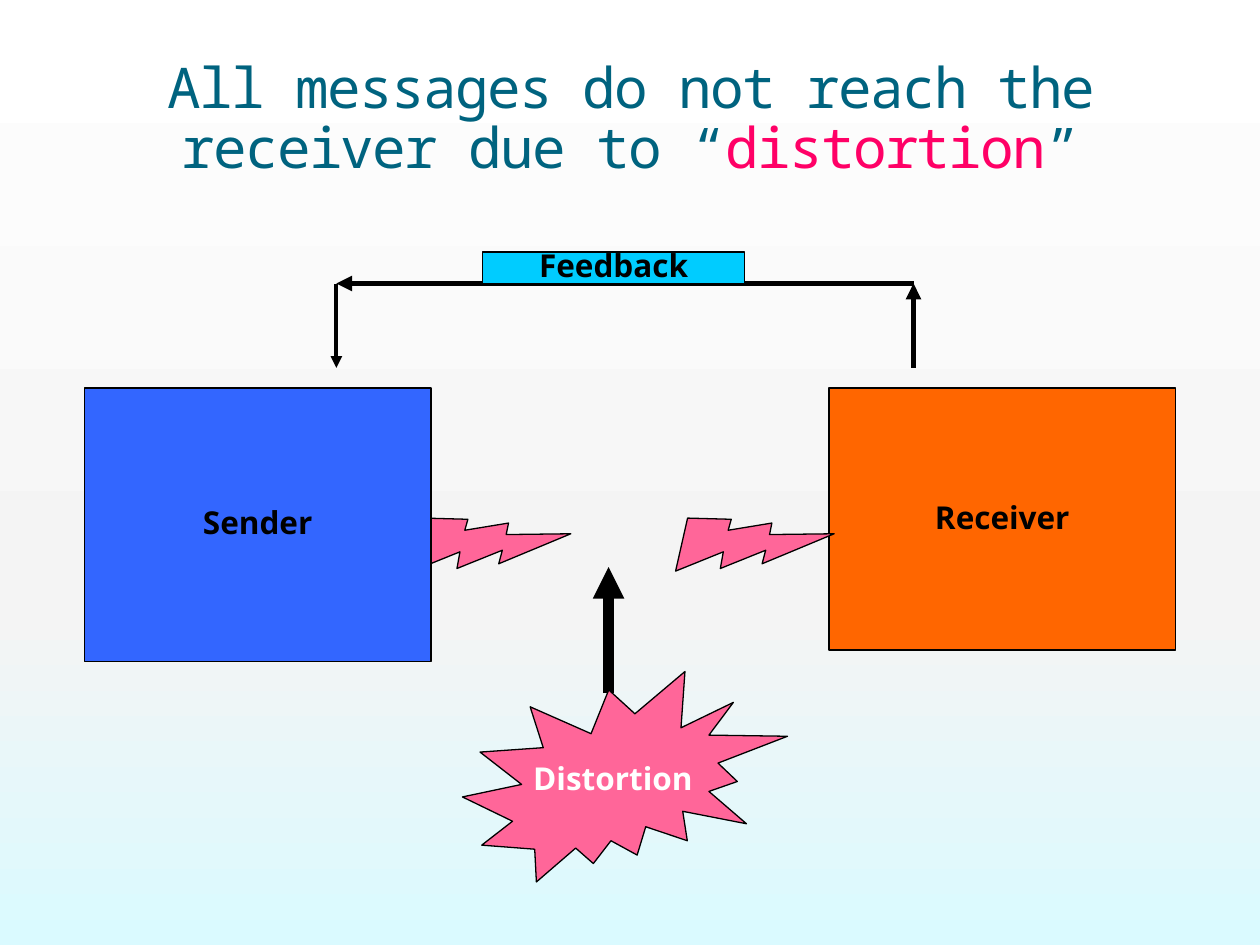
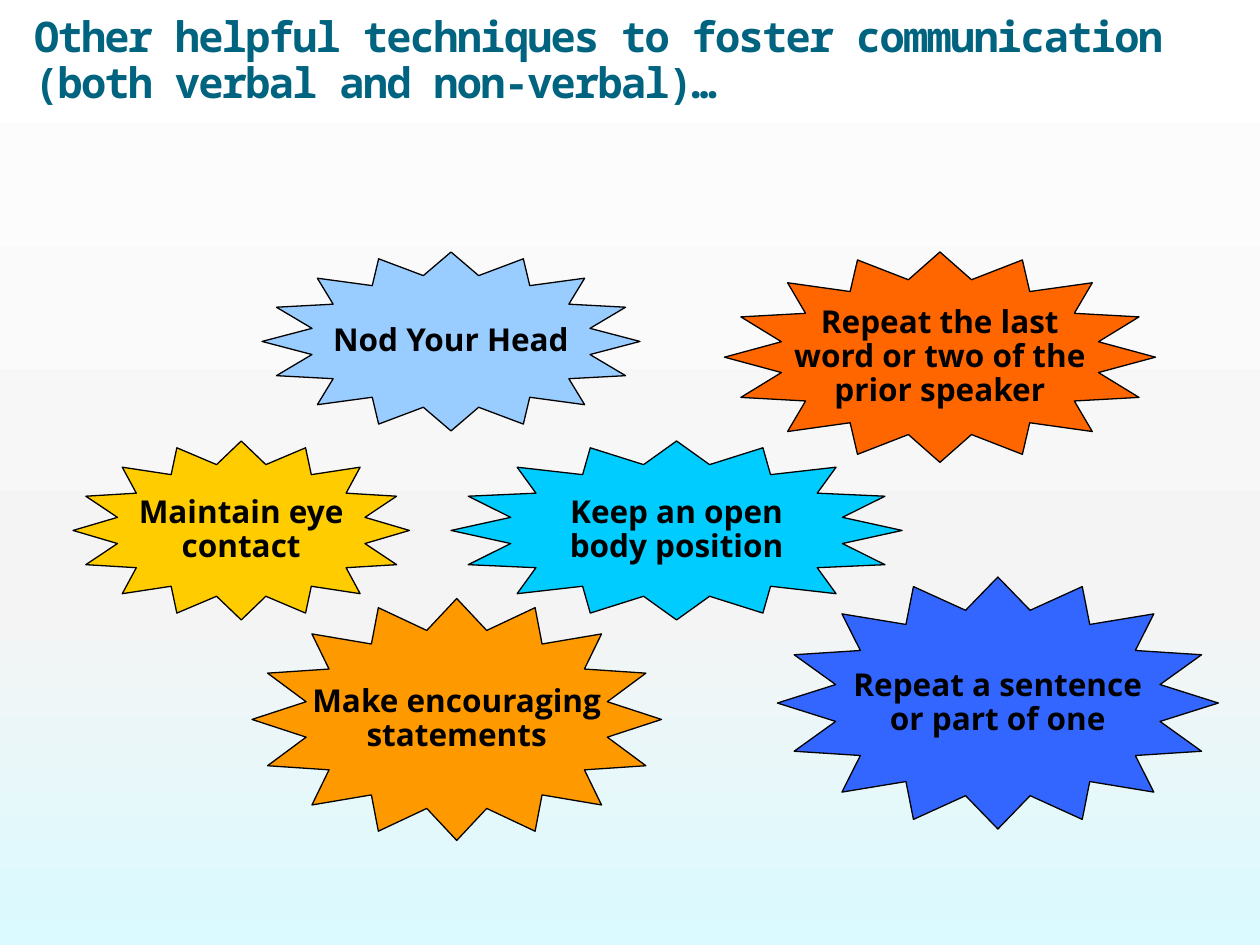
"""Two slides on distortion and helpful techniques in communication."""
from copy import deepcopy
from dataclasses import dataclass

from lxml import etree
from pptx import Presentation
from pptx.dml.color import RGBColor
from pptx.enum.shapes import MSO_CONNECTOR, MSO_SHAPE
from pptx.enum.text import MSO_ANCHOR, MSO_AUTO_SIZE, PP_ALIGN
from pptx.oxml.ns import qn
from pptx.util import Inches, Pt

RECTANGLE = MSO_SHAPE.RECTANGLE
BOLT = MSO_SHAPE.LIGHTNING_BOLT
EXPLOSION = MSO_SHAPE.EXPLOSION2
STAR = MSO_SHAPE.STAR_16_POINT
STRAIGHT = MSO_CONNECTOR.STRAIGHT
CENTER, LEFT = PP_ALIGN.CENTER, PP_ALIGN.LEFT
MIDDLE, TOP = MSO_ANCHOR.MIDDLE, MSO_ANCHOR.TOP

TITLE_FONT, BODY_FONT = "Noto Sans Mono", "Open Sans"
BLACK, WHITE, TEAL = "000000", "FFFFFF", "00637F"
MAGENTA, PINK, BLUE = "FF0066", "FF6699", "3366FF"
ORANGE, AMBER, YELLOW = "FF6600", "FF9900", "FFCC00"
CYAN, SKY = "00CCFF", "99CCFF"
BACKGROUND_STOPS = [(0, WHITE), (0.65, "F4F4F4"), (1, "DAFAFF")]
LINE_SPACING = 0.9
BODY_SIZE = 18
BOLT_ANGLE = 307.4
STAR_DEPTH = 0.375


@dataclass
class Figure:
    """A filled preset shape with centred lines of text."""
    kind: MSO_SHAPE
    left: float
    top: float
    width: float
    height: float
    fill: str
    lines: tuple[str, ...] = ()
    text_color: str = BLACK
    angle: float = 0


@dataclass
class Arrow:
    """A straight arrow with its head at the end point."""
    start: tuple[float, float]
    end: tuple[float, float]
    weight: float


@dataclass
class Title:
    """Place and style of a slide title; spans pair a text with a colour."""
    spans: list[tuple[str, str]]
    place: tuple[float, float, float, float]
    size: float
    align: PP_ALIGN
    anchor: MSO_ANCHOR
    bold: bool = False


def color(value: str) -> RGBColor:
    """Turn a hex string into a colour."""
    return RGBColor.from_string(value)


def add_span(para, text: str, font: str, size: float, shade: str, bold: bool):
    """Add one formatted run to a paragraph."""
    span = para.add_run()
    span.text = text
    span.font.name = font
    span.font.size = Pt(size)
    span.font.bold = bold
    span.font.color.rgb = color(shade)
    return span


def paint_background(master) -> None:
    """Give the master the gradient that all slides share."""
    fill = master.background.fill
    fill.gradient()
    fill.gradient_angle = 270
    stop_list = next(master.element.iter(qn("a:gsLst")))
    stop_list.append(deepcopy(stop_list[-1]))
    for stop, (position, shade) in zip(fill.gradient_stops, BACKGROUND_STOPS):
        stop.position = position
        stop.color.rgb = color(shade)


def add_page(deck, title: Title):
    """Add a title-only slide and format its title."""
    page = deck.slides.add_slide(deck.slide_layouts[5])
    box = page.shapes.title
    box.left, box.top, box.width, box.height = map(Inches, title.place)
    frame = box.text_frame
    frame.word_wrap = True
    frame.auto_size = MSO_AUTO_SIZE.NONE
    frame.vertical_anchor = title.anchor
    para = frame.paragraphs[0]
    para.alignment = title.align
    para.line_spacing = LINE_SPACING
    para.space_before = Pt(0)
    for text, shade in title.spans:
        span = add_span(para, text, TITLE_FONT, title.size, shade, title.bold)
        span.font._element.set("spc", "-100")
    return page


def draw_figure(page, figure: Figure) -> None:
    """Draw a figure with its outline and text."""
    place = (figure.left, figure.top, figure.width, figure.height)
    shape = page.shapes.add_shape(figure.kind, *map(Inches, place))
    shape.shadow.inherit = False
    shape.rotation = figure.angle
    shape.fill.solid()
    shape.fill.fore_color.rgb = color(figure.fill)
    shape.line.color.rgb = color(BLACK)
    shape.line.width = Pt(0.75)
    if figure.kind == STAR:
        shape.adjustments[0] = STAR_DEPTH
    frame = shape.text_frame
    frame.word_wrap = False
    frame.vertical_anchor = MIDDLE
    for index, line in enumerate(figure.lines):
        para = frame.add_paragraph() if index else frame.paragraphs[0]
        para.alignment = CENTER
        para.line_spacing = LINE_SPACING
        add_span(para, line, BODY_FONT, BODY_SIZE, figure.text_color, True)


def draw_arrow(page, arrow: Arrow) -> None:
    """Draw a black arrow with a triangular head."""
    points = map(Inches, arrow.start + arrow.end)
    connector = page.shapes.add_connector(STRAIGHT, *points)
    connector.line.color.rgb = color(BLACK)
    connector.line.width = Pt(arrow.weight)
    properties = connector._element.spPr
    outline = properties.find(qn("a:ln"))
    etree.SubElement(outline, qn("a:tailEnd"), type="triangle")
    etree.SubElement(properties, qn("a:effectLst"))


def draw_all(page, items: list[Figure | Arrow]) -> None:
    """Draw figures and arrows from back to front."""
    for item in items:
        if isinstance(item, Arrow):
            draw_arrow(page, item)
        else:
            draw_figure(page, item)


def build_distortion(deck) -> None:
    """Build the sender, receiver and feedback diagram."""
    page = add_page(deck, Title(
        [("All messages do not reach the receiver due to “", TEAL),
         ("distortion", MAGENTA), ("”", TEAL)],
        (0.63, 0.33, 8.75, 1.25), 32, CENTER, MIDDLE))
    sender_x, receiver_x, loop_y, loop_end = 2.67, 7.25, 2.25, 2.92
    draw_all(page, [
        Figure(BOLT, 3.33, 3.83, 1, 1, PINK, angle=BOLT_ANGLE),
        Figure(RECTANGLE, 0.67, 3.08, 2.75, 2.17, BLUE, ("Sender",)),
        Figure(RECTANGLE, 6.58, 3.08, 2.75, 2.08, ORANGE, ("Receiver",)),
        Arrow((receiver_x, loop_end), (receiver_x, loop_y), 3),
        Arrow((receiver_x, loop_y), (sender_x, loop_y), 3),
        Arrow((sender_x, loop_y), (sender_x, loop_end), 2.25),
        Figure(RECTANGLE, 3.83, 2, 2.08, 0.25, CYAN, ("Feedback",)),
        Figure(BOLT, 5.42, 3.83, 1, 1, PINK, angle=BOLT_ANGLE),
        Arrow((4.83, 5.5), (4.83, 4.5), 6),
        Figure(EXPLOSION, 3.67, 5.33, 2.58, 1.67, PINK, ("Distortion",), WHITE),
    ])


def build_techniques(deck) -> None:
    """Build the stars that name the techniques."""
    page = add_page(deck, Title(
        [("Other helpful techniques to foster communication "
          "(both verbal and non-verbal)…", TEAL)],
        (0.17, 0.08, 9.83, 1.33), 24, LEFT, TOP, bold=True))
    draw_all(page, [
        Figure(STAR, 0.58, 3.5, 2.67, 1.42, YELLOW, ("Maintain eye", "contact")),
        Figure(STAR, 2, 4.75, 3.25, 1.92, AMBER,
               ("Make encouraging", "statements")),
        Figure(STAR, 2.08, 2, 3, 1.42, SKY, ("Nod Your Head",)),
        Figure(STAR, 3.58, 3.5, 3.58, 1.42, CYAN,
               ("Keep an open", "body position")),
        Figure(STAR, 6.17, 4.58, 3.5, 2, BLUE,
               ("Repeat a sentence", "or part of one")),
        Figure(STAR, 5.75, 2, 3.42, 1.67, ORANGE,
               ("Repeat the last", "word or two of the", "prior speaker")),
    ])


def main() -> None:
    """Build the deck and save it."""
    deck = Presentation()
    deck.slide_width, deck.slide_height = Inches(10), Inches(7.5)
    paint_background(deck.slide_master)
    build_distortion(deck)
    build_techniques(deck)
    deck.save("out.pptx")


main()
